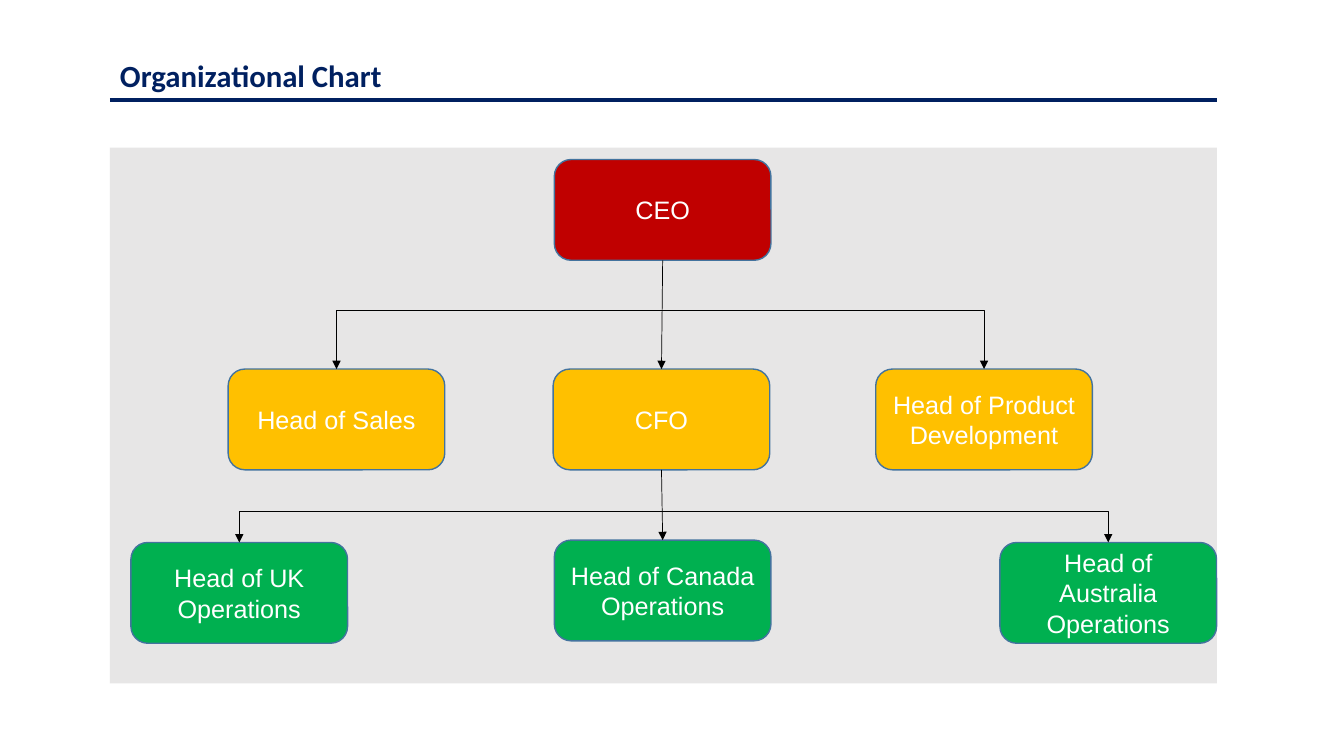
from pptx import Presentation
from pptx import util as u
from pptx.dml.color import RGBColor
from pptx.enum import shapes, text
from pptx.oxml.ns import qn
from lxml import etree

HUES = {
    "navy": "002060", "panel": "E7E6E6", "edge": "43739E", "black": "000000",
    "white": "FFFFFF", "red": "C00000", "gold": "FFC000", "green": "00B050",
}
BOX_W, BOX_H = 5.46, 2.54
EDGE_L, EDGE_R = 2.77, 30.67
MID = 16.71


def hue(name):
    return RGBColor.from_string(HUES[name])


class Chart:
    """Holds the style and the current slide; lengths are in centimetres."""

    def __init__(self, deck):
        self.slide = deck.slides.add_slide(deck.slide_layouts[5])
        self.items = self.slide.shapes

    def style(self, frame, font, size, color, bold=False):
        for para in frame.paragraphs:
            for run in para.runs:
                run.font.name = font
                run.font.size = u.Pt(size)
                run.font.bold = bold
                run.font.color.rgb = hue(color)

    def title(self, words, x, y, w, h):
        head = self.items.title
        head.left, head.top, head.width, head.height = map(u.Cm, (x, y, w, h))
        frame = head.text_frame
        frame.text = words
        frame.auto_size = text.MSO_AUTO_SIZE.NONE
        frame.vertical_anchor = text.MSO_ANCHOR.TOP
        frame.paragraphs[0].alignment = text.PP_ALIGN.LEFT
        self.style(frame, "Calibri", 22, "navy", True)

    def shape(self, kind, x, y, w, h, fill):
        item = self.items.add_shape(kind, *map(u.Cm, (x, y, w, h)))
        item.shadow.inherit = False
        item.fill.solid()
        item.fill.fore_color.rgb = hue(fill)
        item.line.fill.background()
        return item

    def panel(self, x, y, w, h):
        self.shape(shapes.MSO_SHAPE.RECTANGLE, x, y, w, h, "panel")

    def box(self, words, x, y, fill):
        item = self.shape(shapes.MSO_SHAPE.ROUNDED_RECTANGLE, x, y, BOX_W, BOX_H, fill)
        item.line.color.rgb = hue("edge")
        item.line.width = u.Pt(1)
        frame = item.text_frame
        frame.text = words
        frame.word_wrap = True
        frame.vertical_anchor = text.MSO_ANCHOR.MIDDLE
        frame.paragraphs[0].alignment = text.PP_ALIGN.CENTER
        self.style(frame, "Arial", 18, "white")
        return item

    def line(self, start, end, color, width, kind=shapes.MSO_CONNECTOR.STRAIGHT):
        link = self.items.add_connector(kind, *map(u.Cm, start + end))
        link.line.color.rgb = hue(color)
        link.line.width = u.Pt(width)
        etree.SubElement(link.element.spPr, qn("a:effectLst"))
        return link

    def arrow(self, link):
        tip = etree.SubElement(link.line._get_or_add_ln(), qn("a:tailEnd"))
        tip.set("type", "triangle")

    def drop(self, top, low):
        """Straight arrow from the foot of one box to the head of another."""
        link = self.line((MID, 0), (MID, 1), "black", 0.5)
        link.begin_connect(top, 2)
        link.end_connect(low, 0)
        self.arrow(link)

    def branch(self, y, low):
        """Arrow that runs sideways from the trunk, then down to a box."""
        link = self.line((MID, y), (MID, y + 1), "black", 0.5, shapes.MSO_CONNECTOR.ELBOW)
        link.end_connect(low, 0)
        link.element.spPr.find(qn("a:prstGeom")).set("prst", "bentConnector2")
        frame = link.element.spPr.find(qn("a:xfrm"))
        if frame.attrib.pop("flipH", "0") == "1":
            frame.set("rot", "10800000")
            frame.set("flipV", "1")
        self.arrow(link)


def main():
    deck = Presentation()
    deck.slide_width, deck.slide_height = u.Cm(33.87), u.Cm(19.05)
    chart = Chart(deck)
    chart.title("Organizational Chart", EDGE_L, 1.3, 9.3, 1.19)
    chart.line((EDGE_L, 2.52), (EDGE_R, 2.52), "navy", 2.25)
    chart.panel(EDGE_L, 3.72, EDGE_R - EDGE_L, 13.5)

    boss = chart.box("CEO", 13.97, 4.02, "red")
    tiers = [
        ("gold", 7.82, [("Head of Sales", 5.75, 9.3), ("CFO", 13.94, 9.3),
                        ("Head of Product Development", 22.07, 9.3)]),
        ("green", 12.88, [("Head of UK Operations", 3.3, 13.67),
                          ("Head of Canada Operations", 13.97, 13.61),
                          ("Head of Australia Operations", 25.2, 13.67)]),
    ]
    for fill, y, staff in tiers:
        left, mid, right = [chart.box(*seat, fill) for seat in staff]
        chart.drop(boss, mid)
        chart.branch(y, left)
        chart.branch(y, right)
        boss = mid
    deck.save("out.pptx")


if __name__ == "__main__":
    main()
